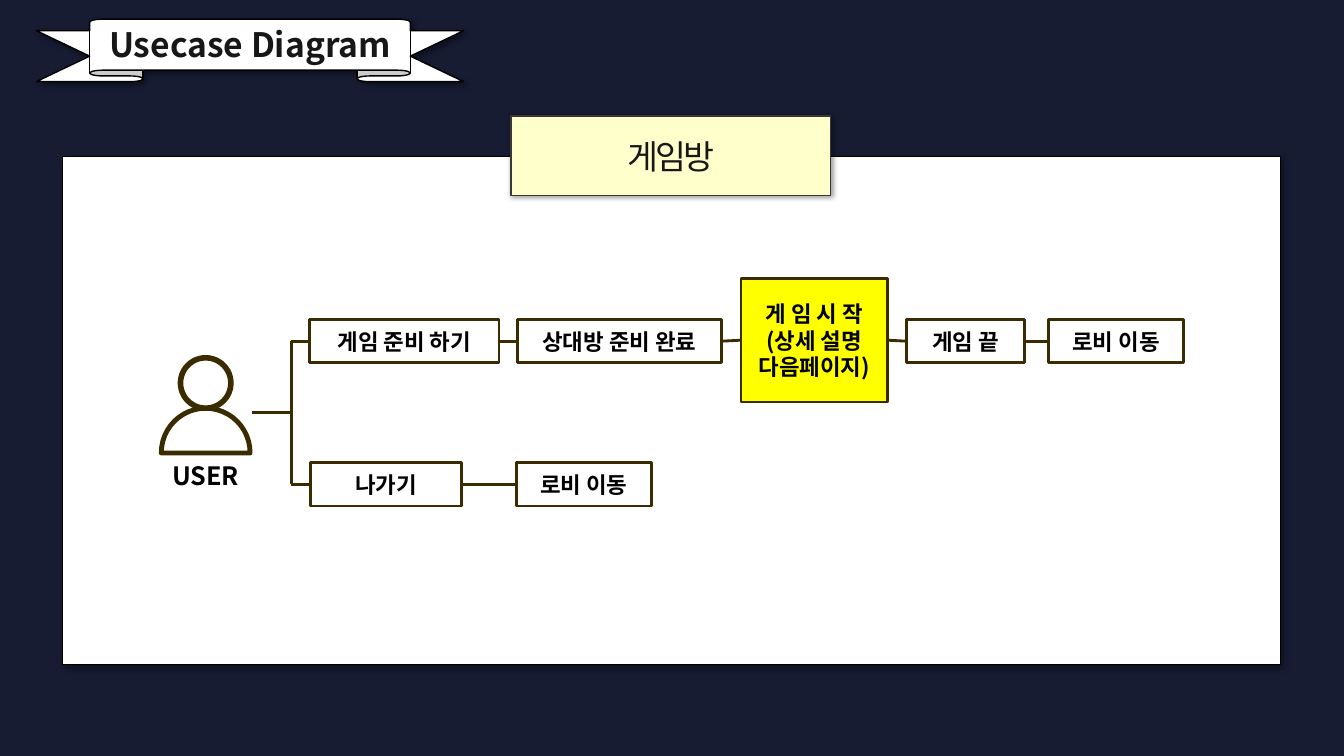
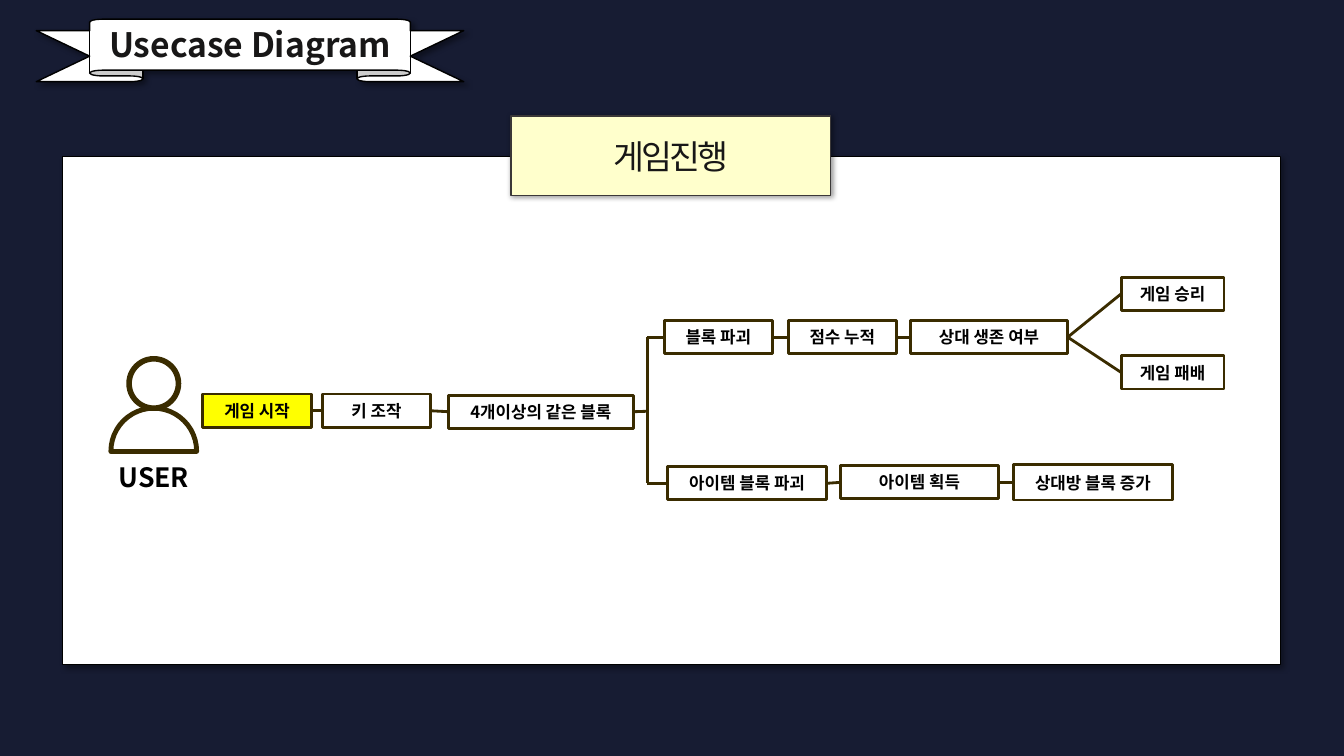
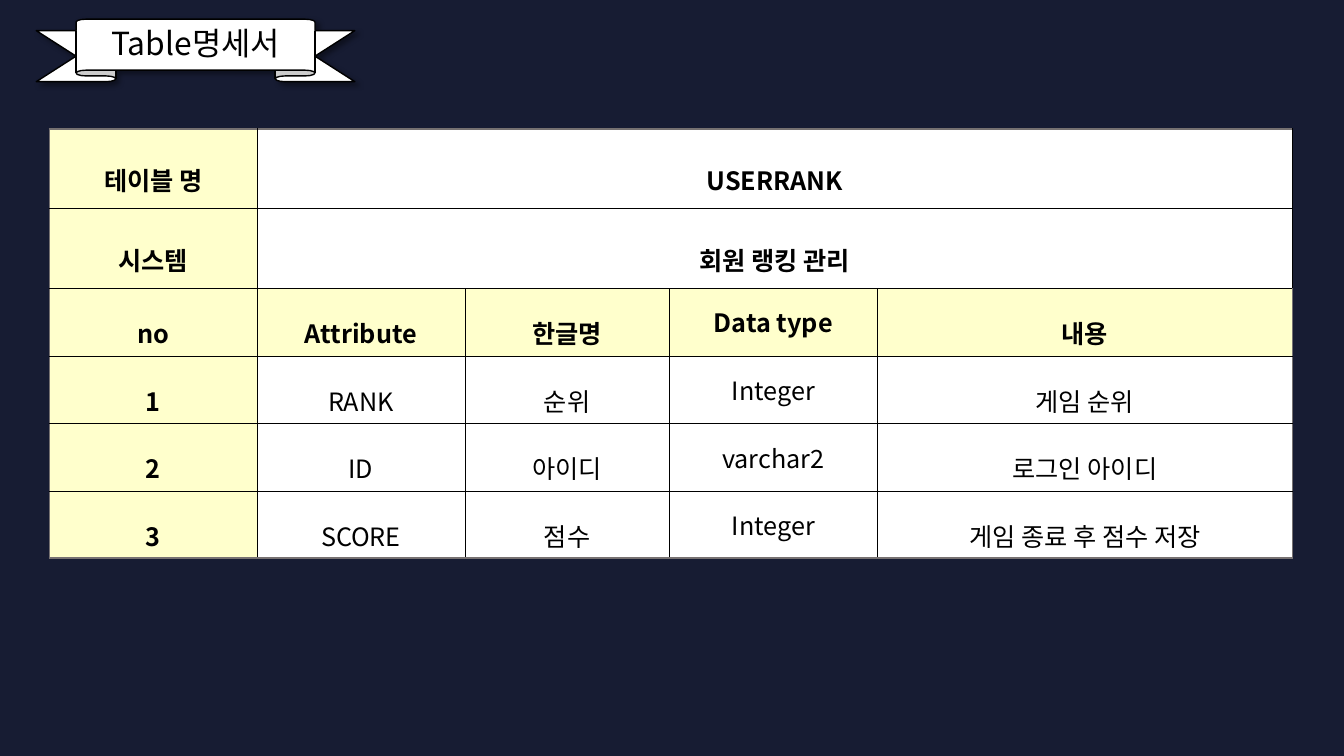
import dataclasses

import lxml.etree
import pptx
import pptx.dml.color
import pptx.enum.shapes
import pptx.enum.text
import pptx.oxml.ns
import pptx.util

SHAPE = pptx.enum.shapes.MSO_SHAPE
ANCHOR = pptx.enum.text.MSO_ANCHOR
EMU_PER_PX = 9144  # 100 px to the inch
LEFT_SIDE, RIGHT_SIDE = 1, 3


@dataclasses.dataclass(frozen=True)
class Theme:
    font: str = "Noto Sans CJK KR"
    background: str = "171C33"
    panel: str = "FFFFFF"
    note: str = "FFFFCC"
    note_edge: str = "3B3838"
    highlight: str = "FFFF00"
    ink: str = "3A2C00"
    black: str = "000000"
    heading: str = "181717"
    table_edge: str = "767171"
    title_size: float = 24
    table_title_size: float = 22.7
    table_size: float = 18
    large_box_size: float = 16
    small_box_size: float = 12


THEME = Theme()


def px(value):
    return pptx.util.Emu(round(value * EMU_PER_PX))


def rgb(color):
    return pptx.dml.color.RGBColor.from_string(color)


def add_xml(parent, tag, **attributes):
    values = {name: str(value) for name, value in attributes.items()}
    return lxml.etree.SubElement(parent, pptx.oxml.ns.qn(tag), values)


def add_color(parent, color):
    return add_xml(add_xml(parent, "a:solidFill"), "a:srgbClr", val=color)


def set_values(target, values):
    for name, value in values.items():
        setattr(target, name, value)


def set_insets(target, horizontal, vertical):
    set_values(target, {
        "margin_left": px(horizontal), "margin_right": px(horizontal),
        "margin_top": px(vertical), "margin_bottom": px(vertical),
    })


def write(frame, text, size, bold=True, color=THEME.black, line_spacing=None, tracking=None):
    """Fill a text frame with centred paragraphs, one per line of text."""
    frame.text = text
    for paragraph in frame.paragraphs:
        set_values(paragraph, {"alignment": pptx.enum.text.PP_ALIGN.CENTER,
                               "line_spacing": line_spacing})
        for run in paragraph.runs:
            set_values(run.font, {"name": THEME.font, "size": pptx.util.Pt(size), "bold": bold})
            run.font.color.rgb = rgb(color)
            properties = run.font._element
            add_xml(properties, "a:ea", typeface=THEME.font)
            if tracking is not None:
                properties.set("spc", str(tracking))


class Deck:
    """The presentation, its style and the slide being drawn."""

    def __init__(self):
        self.presentation = pptx.Presentation()
        set_values(self.presentation, {"slide_width": px(1333), "slide_height": px(750)})
        fill = self.presentation.slide_master.background.fill
        fill.solid()
        fill.fore_color.rgb = rgb(THEME.background)

    def new_slide(self, title, ribbon_width, **title_style):
        layout = self.presentation.slide_layouts.get_by_name("Title Only")
        self.slide = self.presentation.slides.add_slide(layout)
        ribbon = self.shape(SHAPE.UP_RIBBON, (36, 19, ribbon_width, 62), THEME.panel, THEME.black, 1)
        ribbon.adjustments[0], ribbon.adjustments[1] = 0.184, 0.75
        self.add_shadow(ribbon)
        placeholder = self.slide.shapes.title
        set_values(placeholder, {"left": px(90), "top": px(17),
                                 "width": px(ribbon_width - 108), "height": px(54)})
        set_values(placeholder.text_frame, {
            "vertical_anchor": ANCHOR.TOP, "word_wrap": True,
            "auto_size": pptx.enum.text.MSO_AUTO_SIZE.SHAPE_TO_FIT_TEXT,
        })
        set_insets(placeholder.text_frame, 13, 7)
        write(placeholder.text_frame, title, **title_style)
        ribbon.element.addnext(placeholder.element)

    def shape(self, kind, bounds, fill, edge, width, parent=None):
        shapes = (parent or self.slide).shapes
        shape = shapes.add_shape(kind, *map(px, bounds))
        shape.shadow.inherit = False
        if fill:
            shape.fill.solid()
            shape.fill.fore_color.rgb = rgb(fill)
        else:
            shape.fill.background()
        shape.line.color.rgb = rgb(edge)
        shape.line.width = pptx.util.Pt(width)
        return shape

    def add_shadow(self, shape, distance=3):
        effects = shape.element.spPr.find(pptx.oxml.ns.qn("a:effectLst"))
        shadow = add_xml(effects, "a:outerShdw", blurRad=pptx.util.Pt(4),
                         dist=pptx.util.Pt(distance), dir=45 * 60000,
                         algn="tl", rotWithShape=0)
        add_xml(add_xml(shadow, "a:srgbClr", val=THEME.black), "a:alpha", val=40000)

    def diagram(self, heading):
        """Start a use case slide: ribbon, white panel and heading note."""
        self.new_slide("Usecase Diagram", 424, size=THEME.title_size, color=THEME.heading)
        panel = self.shape(SHAPE.RECTANGLE, (62, 155, 1208, 504), THEME.panel, THEME.black, 1)
        self.add_shadow(panel)
        note = self.shape(SHAPE.RECTANGLE, (507, 115, 317, 79), THEME.note, THEME.note_edge, 1)
        self.add_shadow(note, distance=1)
        note.text_frame.vertical_anchor = ANCHOR.MIDDLE
        write(note.text_frame, heading, THEME.title_size, bold=False,
              color=THEME.heading, tracking=-200)

    def box(self, text, left, top, width, height, size, fill=None):
        box = self.shape(SHAPE.RECTANGLE, (left, top, width, height), fill, THEME.ink, 2)
        set_values(box.text_frame, {"vertical_anchor": ANCHOR.MIDDLE, "word_wrap": True})
        set_insets(box.text_frame, 13, 7)
        write(box.text_frame, text, size)
        return box

    def link(self, start, end):
        """Draw a line between two ends, each a box or an (x, y) point."""
        points = [end_ if isinstance(end_, tuple) else (0, 0) for end_ in (start, end)]
        connector = self.slide.shapes.add_connector(
            pptx.enum.shapes.MSO_CONNECTOR.STRAIGHT, *map(px, points[0] + points[1]))
        if not isinstance(start, tuple):
            connector.begin_connect(start, RIGHT_SIDE)
        if not isinstance(end, tuple):
            connector.end_connect(end, LEFT_SIDE)
        connector.line.color.rgb = rgb(THEME.ink)
        connector.line.width = pptx.util.Pt(2)
        add_xml(connector.element.spPr, "a:effectLst")

    def chain(self, *boxes):
        for start, end in zip(boxes, boxes[1:]):
            self.link(start, end)

    def fork(self, start, trunk, boxes):
        """Branch from start through a vertical trunk at an (x, y) point."""
        self.link(start, trunk)
        for box in boxes:
            corner = (trunk[0], (box.top + box.height / 2) / EMU_PER_PX)
            self.link(trunk, corner)
            self.link(corner, box)

    def user(self, left, body_size, head_size, label_size):
        shoulder = 405
        center = left + body_size / 2
        group = self.slide.shapes.add_group_shape()
        body = self.shape(SHAPE.CHORD, (left, shoulder, body_size, body_size),
                          None, THEME.ink, 3.5, group)
        body.adjustments[0], body.adjustments[1] = 107.64, 0.332
        self.shape(SHAPE.OVAL, (center - head_size / 2, shoulder - head_size, head_size, head_size),
                   None, THEME.ink, 4, group)
        label = group.shapes.add_textbox(*map(px, (center - 50, 450, 100, 43)))
        label.text_frame.word_wrap = True
        set_insets(label.text_frame, 13, 7)
        write(label.text_frame, "USER", label_size)

    def table(self, left, top, widths, heights, rows):
        """Draw a table; a row shorter than the grid merges its last cell to the edge."""
        frame = self.slide.shapes.add_table(
            len(heights), len(widths), *map(px, (left, top, sum(widths), sum(heights))))
        table = frame.table
        set_values(table, {"first_row": False, "horz_banding": False})
        for column, width in zip(table.columns, widths):
            column.width = px(width)
        for row, height in zip(table.rows, heights):
            row.height = px(height)
        last_row, last_column = len(heights) - 1, len(widths) - 1
        for row_index, texts in enumerate(rows):
            merged = len(texts) <= last_column
            for column_index in range(len(widths)):
                cell = table.cell(row_index, column_index)
                self.borders(cell, {
                    "L": column_index == 0, "R": column_index == last_column,
                    "T": row_index == 0, "B": row_index == last_row,
                })
                header = column_index == 0 or row_index == 2
                cell.fill.solid()
                cell.fill.fore_color.rgb = rgb(THEME.note if header else THEME.panel)
                if column_index < len(texts):
                    data_type = column_index == 3
                    cell.vertical_anchor = ANCHOR.MIDDLE
                    set_insets(cell, 10, 5 if data_type else 3)
                    write(cell.text_frame, texts[column_index], THEME.table_size,
                          bold=header or merged, line_spacing=None if data_type else 1.6)
            if merged:
                table.cell(row_index, len(texts) - 1).merge(table.cell(row_index, last_column))

    def borders(self, cell, outer_sides):
        properties = cell._tc.get_or_add_tcPr()
        for side, outer in outer_sides.items():
            line = add_xml(properties, f"a:ln{side}", w=pptx.util.Pt(1.5 if outer else 0.28))
            add_color(line, THEME.table_edge if outer else THEME.black)


def draw_game_room(deck):
    deck.diagram("게임방")
    deck.user(160, 88, 50, 18)
    size = THEME.large_box_size
    ready = deck.box("게임 준비 하기", 307, 317, 188, 43, size)
    opponent = deck.box("상대방 준비 완료", 513, 317, 203, 43, size)
    start = deck.box("게 임 시 작\n(상세 설명 다음페이지)", 735, 276, 145, 123, size, THEME.highlight)
    finish = deck.box("게임 끝", 899, 317, 117, 43, size)
    lobby = deck.box("로비 이동", 1040, 317, 134, 43, size)
    leave = deck.box("나가기", 308, 459, 150, 43, size)
    leave_lobby = deck.box("로비 이동", 512, 459, 134, 43, size)
    deck.chain(ready, opponent, start, finish, lobby)
    deck.chain(leave, leave_lobby)
    deck.fork((250, 409), (289, 409), (ready, leave))


def draw_game_play(deck):
    deck.diagram("게임진행")
    deck.user(110, 85, 49, 19)
    size = THEME.small_box_size
    start = deck.box("게임 시작", 201, 391, 108, 33, size, THEME.highlight)
    keys = deck.box("키 조작", 320, 391, 107, 33, size)
    matching = deck.box("4개이상의 같은 블록", 445, 392, 183, 33, size)
    blocks = deck.box("블록 파괴", 659, 318, 107, 33, size)
    score = deck.box("점수 누적", 782, 318, 107, 33, size)
    survival = deck.box("상대 생존 여부", 903, 318, 156, 33, size)
    win = deck.box("게임 승리", 1112, 275, 102, 33, size)
    lose = deck.box("게임 패배", 1112, 353, 102, 33, size)
    item_blocks = deck.box("아이템 블록 파괴", 662, 463, 158, 33, size)
    item = deck.box("아이템 획득", 834, 462, 156, 33, size)
    more_blocks = deck.box("상대방 블록 증가", 1005, 461, 158, 35, size)
    deck.chain(start, keys, matching)
    deck.fork(matching, (642, 408), (blocks, item_blocks))
    deck.chain(blocks, score, survival, win)
    deck.link(survival, lose)
    deck.chain(item_blocks, item, more_blocks)


def draw_table_definition(deck):
    deck.new_slide("Table명세서", 316, size=THEME.table_title_size, bold=False)
    deck.table(49, 128, [206, 206, 203, 206, 412], [79] * 2 + [67] * 4, [
        ["테이블 명", "USERRANK"],
        ["시스템", "회원 랭킹 관리"],
        ["no", "Attribute", "한글명", "Data type", "내용"],
        ["1", "RANK", "순위", "Integer", "게임 순위"],
        ["2", "ID", "아이디", "varchar2", "로그인 아이디"],
        ["3", "SCORE", "점수", "Integer", "게임 종료 후 점수 저장"],
    ])


def main():
    deck = Deck()
    for draw in (draw_game_room, draw_game_play, draw_table_definition):
        draw(deck)
    deck.presentation.save("out.pptx")


if __name__ == "__main__":
    main()
